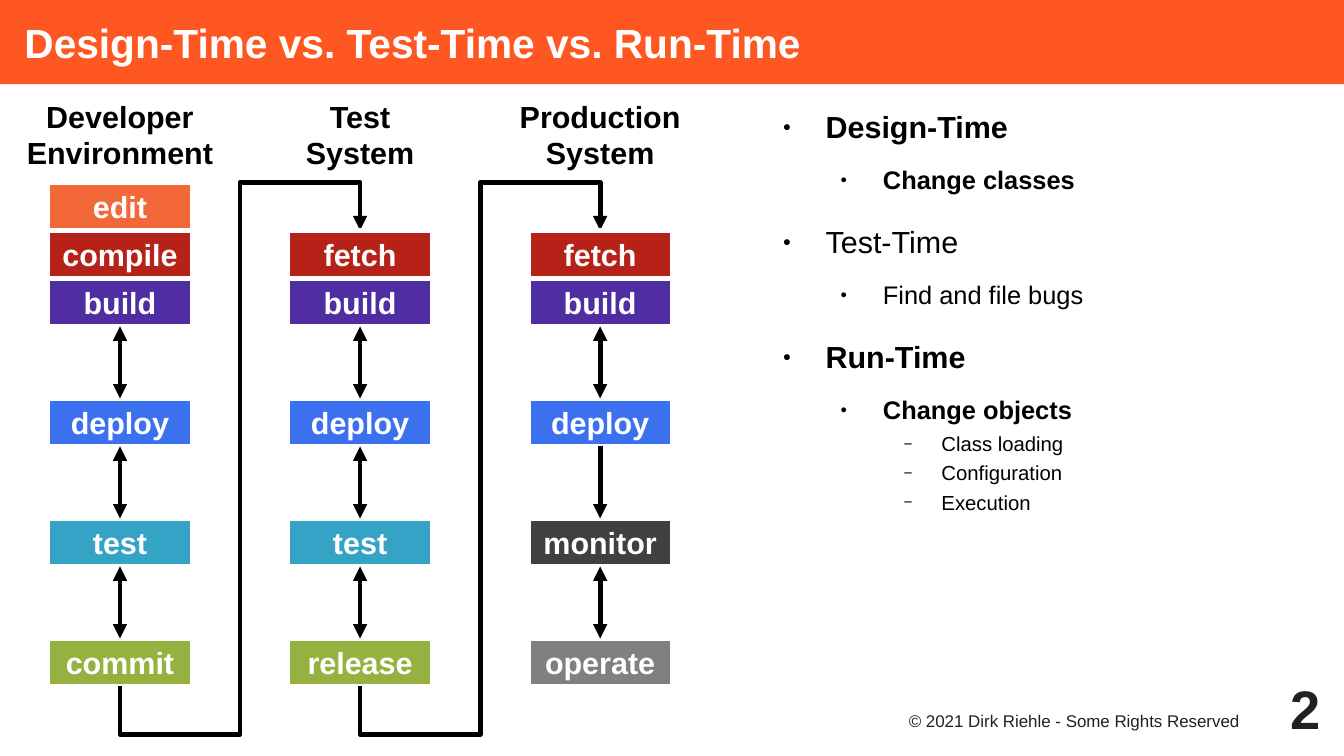
from lxml import etree
from pptx import Presentation
from pptx.dml.color import RGBColor
from pptx.enum.shapes import MSO_CONNECTOR, MSO_SHAPE
from pptx.enum.text import MSO_ANCHOR, MSO_AUTO_SIZE, PP_ALIGN
from pptx.oxml.ns import qn
from pptx.util import Inches, Pt

LEFT, CENTER, RIGHT = PP_ALIGN.LEFT, PP_ALIGN.CENTER, PP_ALIGN.RIGHT
TOP, MIDDLE = MSO_ANCHOR.TOP, MSO_ANCHOR.MIDDLE
RECTANGLE, STRAIGHT = MSO_SHAPE.RECTANGLE, MSO_CONNECTOR.STRAIGHT
FIXED_SIZE = MSO_AUTO_SIZE.NONE

FONT = "Arial"
COLORS = {
    "banner": "FF5722", "white": "FFFFFF", "black": "000000", "footer": "212121",
    "edit": "F36838", "compile": "B62118", "fetch": "B62118", "build": "502DA2",
    "deploy": "3B70EE", "test": "34A3C5", "monitor": "404040",
    "commit": "95B241", "release": "95B241", "operate": "808080",
}

TITLE = "Design-Time vs. Test-Time vs. Run-Time"
# Heading, steps from top to bottom (None where a row is empty)
SYSTEMS = [
    ("Developer\nEnvironment", ["edit", "compile", "build", "deploy", "test", "commit"]),
    ("Test\nSystem", [None, "fetch", "build", "deploy", "test", "release"]),
    ("Production\nSystem", [None, "fetch", "build", "deploy", "monitor", "operate"]),
]
ONE_WAY = {("deploy", "monitor")}
# Level, text, bold
OUTLINE = [
    (0, "Design-Time", True),
    (1, "Change classes", True),
    (0, "Test-Time", False),
    (1, "Find and file bugs", False),
    (0, "Run-Time", True),
    (1, "Change objects", True),
    (2, "Class loading", False),
    (2, "Configuration", False),
    (2, "Execution", False),
]
# Size, indent, hanging, bullet, bullet percent, space before, space after
LEVELS = [
    (18, 0.47, 0.35, "●", 45, 14.3, 8.4),
    (15, 0.94, 0.35, "●", 45, 2.8, 2.8),
    (12, 1.42, 0.31, "−", 75, 1.4, 1.4),
]
COPYRIGHT = "© 2021 Dirk Riehle - Some Rights Reserved"
PAGE = "2"

# The diagram sits on a one-centimetre grid
GRID = 1 / 2.54
ROW_TOPS = [3.8, 4.8, 5.8, 8.3, 10.8, 13.3]
FIRST_LINKED_ROW = 2
COLUMN_PITCH, BOX_WIDTH, BOX_HEIGHT = 5, 3, 1
LINE_WIDTH = 2.83


def grid(*units):
    return [Inches(unit * GRID) for unit in units]


def inches(*lengths):
    return [Inches(length) for length in lengths]


def rgb(name):
    return RGBColor.from_string(COLORS[name])


def write(paragraph, text, size=18, color="black", bold=False, align=LEFT):
    paragraph.alignment = align
    run = paragraph.add_run()
    run.text = text
    font = run.font
    font.name, font.size, font.bold = FONT, Pt(size), bold
    font.color.rgb = rgb(color)


def set_frame(shape, insets=(0, 0, 0, 0), anchor=TOP, wrap=True):
    frame = shape.text_frame
    frame.auto_size = FIXED_SIZE
    frame.word_wrap = wrap
    frame.vertical_anchor = anchor
    (frame.margin_left, frame.margin_top,
     frame.margin_right, frame.margin_bottom) = inches(*insets)
    return frame


def fill_label(shape, text, insets=(0.08,) * 4, anchor=MIDDLE, wrap=False, **style):
    """Write each line of the text as a paragraph of its own."""
    frame = set_frame(shape, insets, anchor, wrap)
    for index, row in enumerate(text.split("\n")):
        paragraph = frame.add_paragraph() if index else frame.paragraphs[0]
        write(paragraph, row, **style)


def style_line(line, *arrow_ends):
    """Arrow ends are headEnd (start) and tailEnd (finish), in that order."""
    line.color.rgb = rgb("black")
    line.width = Pt(LINE_WIDTH)
    properties = line._get_or_add_ln()
    for end in arrow_ends:
        etree.SubElement(properties, qn(f"a:{end}"), type="triangle")


def add_step(shapes, name, left, top):
    box = shapes.add_shape(RECTANGLE, *grid(left, top, BOX_WIDTH, BOX_HEIGHT))
    box.shadow.inherit = False
    box.fill.solid()
    box.fill.fore_color.rgb = rgb(name)
    box.line.color.rgb = rgb("white")
    box.line.width = Pt(LINE_WIDTH)
    fill_label(box, name, color="white", bold=True, align=CENTER)


def add_arrow(shapes, x, start, finish, ends):
    arrow = shapes.add_connector(STRAIGHT, *grid(x, start, x, finish))
    style_line(arrow.line, *ends)
    etree.SubElement(arrow._element.spPr, qn("a:effectLst"))


def add_handoff(shapes, x):
    """Lead from the last step of one system to the first of the next."""
    bottom = ROW_TOPS[-1] + BOX_HEIGHT
    middle, finish = x + COLUMN_PITCH / 2, x + COLUMN_PITCH
    route = [(x, bottom + 1), (middle, bottom + 1), (middle, ROW_TOPS[0]),
             (finish, ROW_TOPS[0]), (finish, ROW_TOPS[1])]
    builder = shapes.build_freeform(*grid(x, bottom))
    builder.add_line_segments([grid(*point) for point in route], close=False)
    path = builder.convert_to_shape()
    path.shadow.inherit = False
    path.fill.background()
    style_line(path.line, "tailEnd")


def add_system(shapes, column, heading, steps):
    left = 1 + column * COLUMN_PITCH
    center = left + BOX_WIDTH / 2
    label = shapes.add_textbox(*grid(left - 0.5, 1.8, BOX_WIDTH + 1, 2))
    fill_label(label, heading, bold=True, align=CENTER)
    for name, top in zip(steps, ROW_TOPS):
        if name:
            add_step(shapes, name, left, top)
    for row in range(FIRST_LINKED_ROW, len(steps) - 1):
        one_way = (steps[row], steps[row + 1]) in ONE_WAY
        ends = ["tailEnd"] if one_way else ["headEnd", "tailEnd"]
        add_arrow(shapes, center, ROW_TOPS[row] + BOX_HEIGHT, ROW_TOPS[row + 1], ends)
    if column < len(SYSTEMS) - 1:
        add_handoff(shapes, center)


def add_bullet(paragraph, indent, hanging, char, percent):
    properties = paragraph._p.get_or_add_pPr()
    properties.set("marL", str(Inches(indent)))
    properties.set("indent", str(-Inches(hanging)))
    color = etree.SubElement(properties, qn("a:buClr"))
    etree.SubElement(color, qn("a:srgbClr"), val=COLORS["black"])
    etree.SubElement(properties, qn("a:buSzPct"), val=str(percent * 1000))
    etree.SubElement(properties, qn("a:buFont"), typeface=FONT)
    etree.SubElement(properties, qn("a:buChar"), char=char)


def add_outline(shapes):
    frame = set_frame(shapes.add_textbox(*inches(6.3, 0.89, 4.53, 4.53)))
    for index, (level, text, bold) in enumerate(OUTLINE):
        size, indent, hanging, char, percent, before, after = LEVELS[level]
        paragraph = frame.add_paragraph() if index else frame.paragraphs[0]
        paragraph.level = level
        add_bullet(paragraph, indent, hanging, char, percent)
        if index:
            paragraph.space_before = Pt(before)
        paragraph.space_after = Pt(after)
        write(paragraph, text, size=size, bold=bold)


def main():
    deck = Presentation()
    deck.slide_width, deck.slide_height = inches(11.02, 6.2)
    slide = deck.slides.add_slide(deck.slide_layouts[5])
    shapes = slide.shapes

    title = shapes.title
    title.left, title.top, title.width, title.height = inches(0, 0, 11.02, 0.69)
    title.fill.solid()
    title.fill.fore_color.rgb = rgb("banner")
    fill_label(title, TITLE, insets=(0.2, 0, 0, 0), wrap=True,
               size=24, color="white", bold=True)

    for column, (heading, steps) in enumerate(SYSTEMS):
        add_system(shapes, column, heading, steps)
    add_outline(shapes)

    fill_label(shapes.add_textbox(*inches(7.09, 5.81, 3.15, 0.3)), COPYRIGHT,
               insets=(0, 0.02, 0.08, 0), anchor=TOP, wrap=True,
               size=10, color="footer", align=RIGHT)
    fill_label(shapes.add_textbox(*inches(10.04, 5.51, 0.79, 0.59)), PAGE,
               insets=(0, 0, 0, 0), wrap=True,
               size=32, color="footer", bold=True, align=RIGHT)
    deck.save("out.pptx")


if __name__ == "__main__":
    main()
